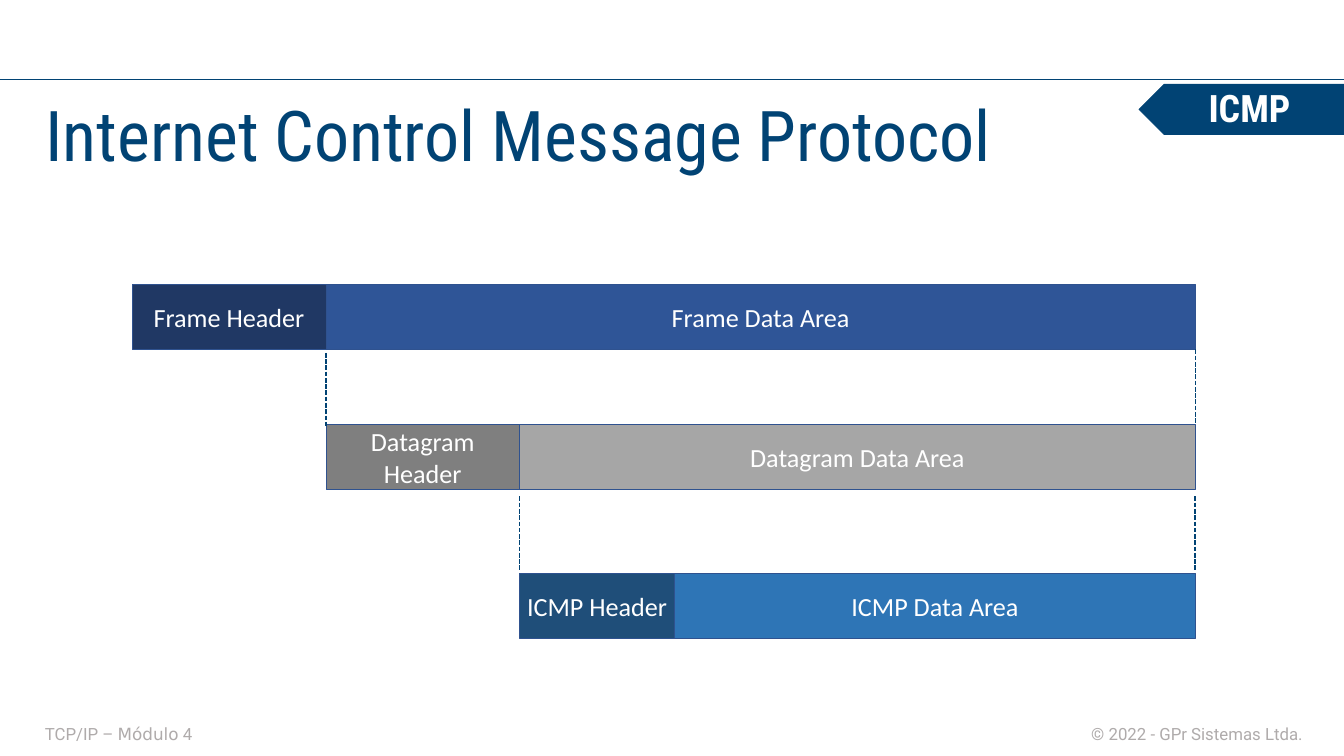
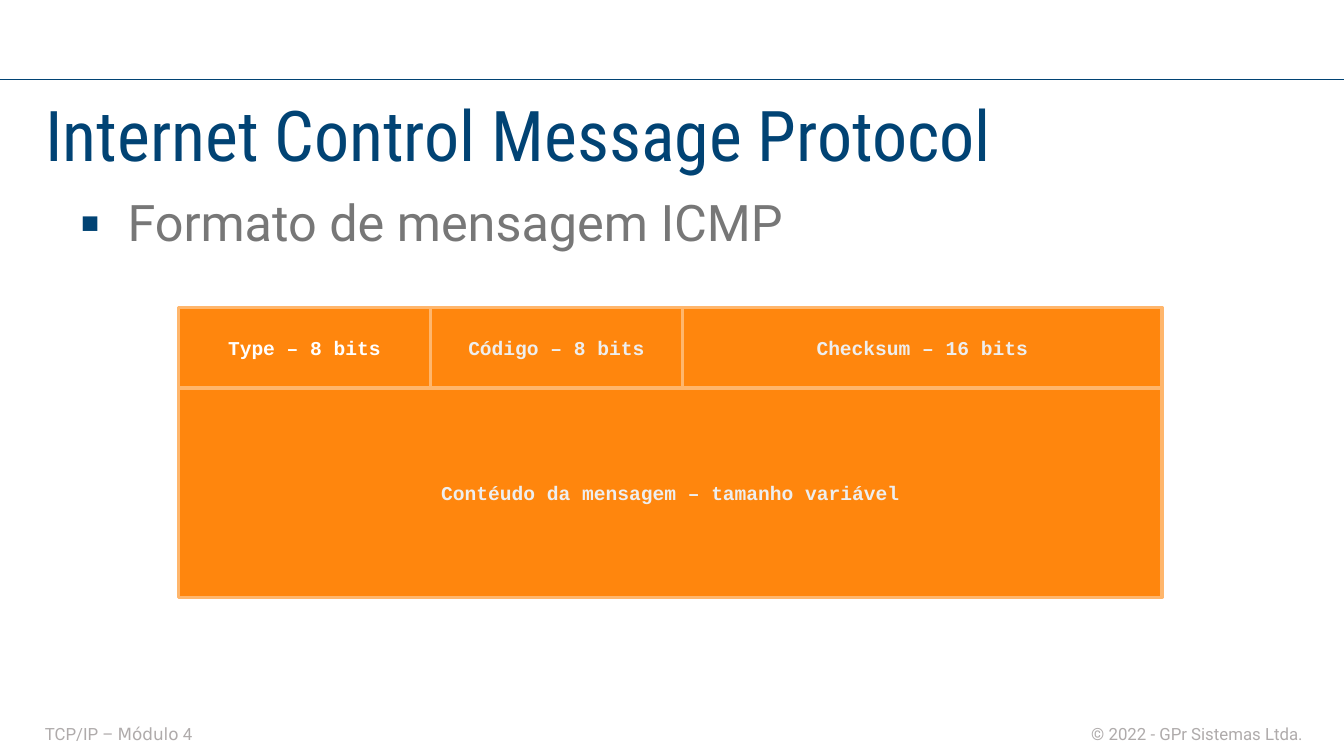
from lxml import etree
from pptx import Presentation
from pptx.dml.color import RGBColor
from pptx.enum.dml import MSO_LINE
from pptx.enum.shapes import MSO_CONNECTOR, MSO_SHAPE
from pptx.enum.text import MSO_ANCHOR as Anchor, MSO_AUTO_SIZE, PP_ALIGN as Align
from pptx.oxml.ns import qn
from pptx.util import Pt

PX = 9144  # EMU; 100 px make an inch
PAGE_W, PAGE_H = 2667, 1500

NAVY = RGBColor(0x01, 0x43, 0x74)
WHITE = RGBColor(0xFF, 0xFF, 0xFF)
PALE = RGBColor(0xEE, 0xEE, 0xEE)
FOOTER_GREY = RGBColor(0xAF, 0xAB, 0xAB)
BODY_GREY = RGBColor(0x77, 0x77, 0x77)
BAR_EDGE = RGBColor(0x2F, 0x52, 0x8F)
ORANGE = RGBColor(0xFF, 0x86, 0x0D)
ORANGE_EDGE = RGBColor(0xFF, 0xB6, 0x6C)

TITLE_FONT, TEXT_FONT = "Roboto Condensed", "Roboto"
TITLE = "Internet Control Message Protocol"

# top, left, header width, name, header fill, data fill
LAYERS = [
    (564, 262, 385, "Frame", RGBColor(0x20, 0x38, 0x64), RGBColor(0x2F, 0x55, 0x97)),
    (842, 647, 384, "Datagram", RGBColor(0x7F, 0x7F, 0x7F), RGBColor(0xA6, 0xA6, 0xA6)),
    (1137, 1031, 308, "ICMP", RGBColor(0x1F, 0x4E, 0x79), RGBColor(0x2E, 0x75, 0xB6)),
]
LAYERS_RIGHT, BAR_H = 2372, 129
GUIDES = [(647, 700), (2372, 693), (1031, 985), (2371, 985)]
GUIDE_H = 148

# rows of the message: height, then (text, width, colour) of each field
MESSAGE_ROWS = [
    (160, [("Type – 8 bits", 500, WHITE), ("Código – 8 bits", 500, PALE),
           ("Checksum – 16 bits", 952, PALE)]),
    (415, [("Contéudo da mensagem – tamanho variável", 1952, PALE)]),
]


def emu(*lengths):
    return [length * PX for length in lengths]


def write(shape, *spans, size, color, font=TEXT_FONT, bold=False,
          align=Align.LEFT, anchor=Anchor.MIDDLE, insets=(6, 6)):
    """Fill a shape with one paragraph; a span is text or a (text, font) pair."""
    frame = shape.text_frame
    frame.word_wrap = True
    frame.auto_size = MSO_AUTO_SIZE.NONE
    frame.vertical_anchor = anchor
    frame.margin_left = frame.margin_right = insets[0] * PX
    frame.margin_top = frame.margin_bottom = insets[1] * PX
    para = frame.paragraphs[0]
    para.alignment = align
    para.space_before = Pt(0)
    for item in spans:
        text, face = item if isinstance(item, tuple) else (item, font)
        span = para.add_run()
        span.text = text
        span.font.name = face
        span.font.size = Pt(size)
        span.font.bold = bold
        span.font.color.rgb = color
    return para


def place(shape, box):
    shape.left, shape.top, shape.width, shape.height = emu(*box)
    return shape


def add_label(page, box, *spans, **style):
    return write(page.shapes.add_textbox(*emu(*box)), *spans, **style)


def add_block(page, box, fill, edge, edge_width=1, kind=MSO_SHAPE.RECTANGLE):
    block = page.shapes.add_shape(kind, *emu(*box))
    block.shadow.inherit = False
    block.fill.solid()
    block.fill.fore_color.rgb = fill
    block.line.color.rgb = edge
    block.line.width = Pt(edge_width)
    return block


def add_line(page, x1, y1, x2, y2, width, dash=None):
    line = page.shapes.add_connector(MSO_CONNECTOR.STRAIGHT, *emu(x1, y1, x2, y2))
    line.line.color.rgb = NAVY
    line.line.width = Pt(width)
    if dash:
        line.line.dash_style = dash
    etree.SubElement(line._element.spPr, qn("a:effectLst"))


def add_page(deck, layout_index):
    """Add a slide with the shared rule, footers and title."""
    page = deck.slides.add_slide(deck.slide_layouts[layout_index])
    add_line(page, 0, 158, PAGE_W, 158, 2)
    add_label(page, (2058, 1429, 533, 52), "© 2022 - GPr Sistemas Ltda.",
              size=24, color=FOOTER_GREY, align=Align.RIGHT)
    add_label(page, (83, 1429, 1908, 52), "TCP/IP – ", ("Módulo", "DejaVu Sans"), " 4",
              size=24, color=FOOTER_GREY)
    write(place(page.shapes.title, (84, 175, 2501, 180)), TITLE,
          size=100, color=NAVY, font=TITLE_FONT, anchor=Anchor.TOP)
    return page


def add_tag(page, box, text):
    left, top, width, height = box
    arrow = add_block(page, box, NAVY, NAVY, kind=MSO_SHAPE.PENTAGON)
    arrow.rotation = 180
    add_label(page, (left + 68, top - 4, width - 112, height + 2), text, size=54,
              color=WHITE, font=TITLE_FONT, bold=True, align=Align.CENTER)


def add_layer(page, box, header_width, name, header_fill, data_fill):
    """Draw one protocol layer: a header bar and the data bar that follows it."""
    left, top, width, height = box
    parts = [(left, header_width, "Header", header_fill),
             (left + header_width, width - header_width, "Data Area", data_fill)]
    for x, part_width, part, fill in parts:
        bar = add_block(page, (x, top, part_width, height), fill, BAR_EDGE)
        write(bar, f"{name} {part}", size=37.4, color=WHITE, font="Calibri",
              align=Align.CENTER, insets=(10, 5))


def add_message(page, left, top):
    for height, fields in MESSAGE_ROWS:
        x = left
        for text, width, color in fields:
            field = add_block(page, (x, top, width, height), ORANGE, ORANGE_EDGE, 4.5)
            write(field, text, size=28, color=color, font="Courier New", bold=True,
                  align=Align.CENTER, insets=(12, 7))
            x += width
        top += height


def add_list(page, box, text):
    body = place(page.placeholders[1], box)
    para = write(body, text, size=72, color=BODY_GREY, anchor=Anchor.TOP, insets=(10, 5))
    para.level = 1
    para.line_spacing = 1.2
    props = para._p.get_or_add_pPr()
    props.set("marL", str(94 * PX))
    props.set("indent", str(-94 * PX))
    bullet_color = etree.SubElement(props, qn("a:buClr"))
    etree.SubElement(bullet_color, qn("a:srgbClr"), val=str(NAVY))
    etree.SubElement(props, qn("a:buFont"), typeface=TEXT_FONT)
    etree.SubElement(props, qn("a:buChar"), char="▪")


def build_encapsulation(deck):
    page = add_page(deck, 5)
    add_tag(page, (2260, 167, 415, 100), "ICMP")
    for top, left, *layer in LAYERS:
        add_layer(page, (left, top, LAYERS_RIGHT - left, BAR_H), *layer)
    for x, y in GUIDES:
        add_line(page, x, y, x, y + GUIDE_H, 2.25, MSO_LINE.SQUARE_DOT)


def build_message_format(deck):
    page = add_page(deck, 1)
    add_list(page, (149, 350, 2501, 1100), "Formato de mensagem ICMP")
    add_message(page, 354, 610)


def main():
    deck = Presentation()
    deck.slide_width, deck.slide_height = emu(PAGE_W, PAGE_H)
    build_encapsulation(deck)
    build_message_format(deck)
    deck.save("out.pptx")


if __name__ == "__main__":
    main()
